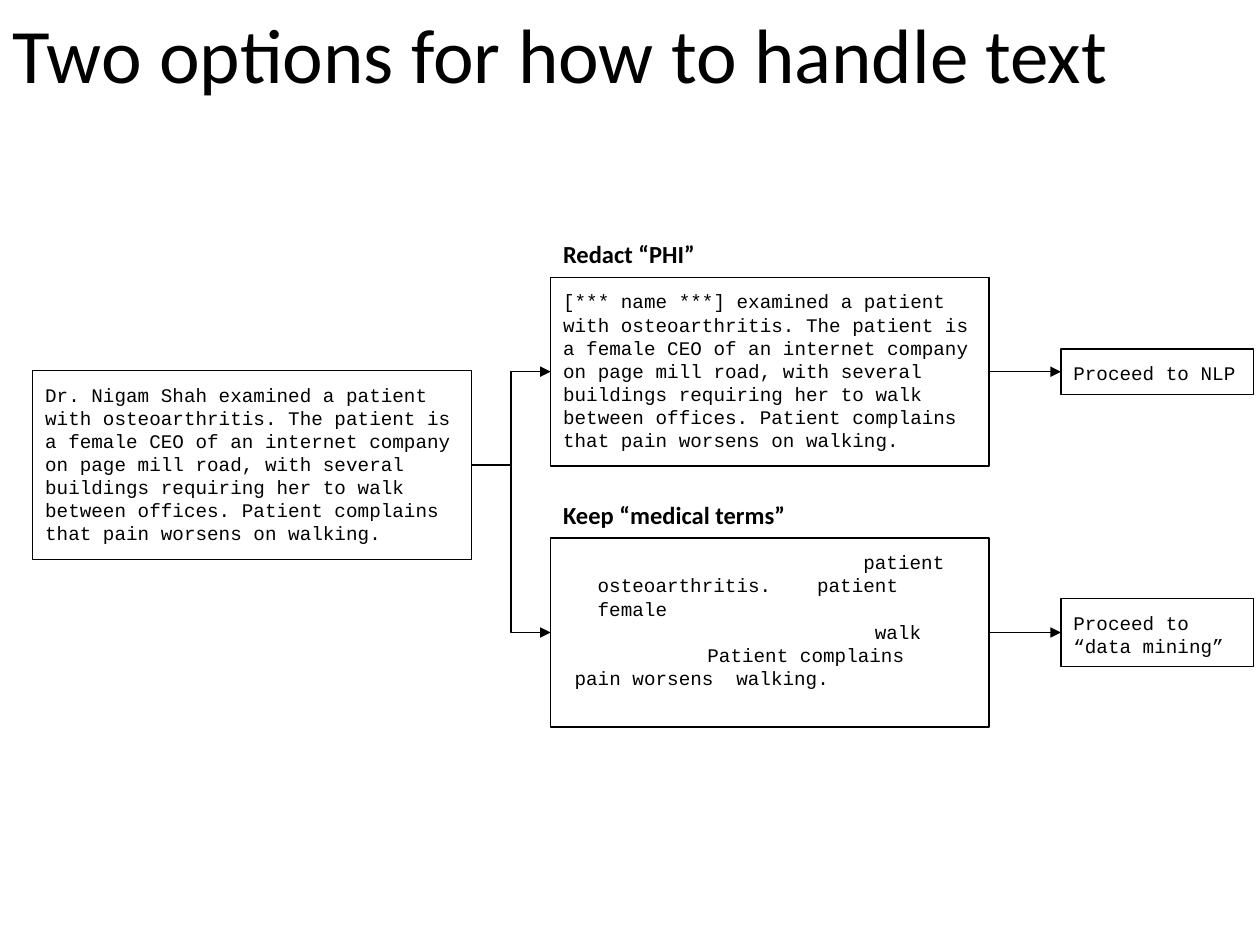
import pptx
import pptx.dml.color
import pptx.enum.shapes
import pptx.enum.text
import pptx.oxml
import pptx.oxml.ns
import pptx.util

Inches, Pt = pptx.util.Inches, pptx.util.Pt
ANCHOR = pptx.enum.text.MSO_ANCHOR
LINK = pptx.enum.shapes.MSO_CONNECTOR
BLACK = "000000"
DRAWING = pptx.oxml.ns.nsdecls("a")

# Columns (left edges), rows (centres) and the sizes shared by the boxes
SOURCE_X, OPTION_X, RESULT_X = 0.26, 4.37, 8.42
SOURCE_Y, REDACT_Y, KEEP_Y = 3.69, 2.95, 5.02
NOTE_W, NOTE_H = 3.48, 1.5
RESULT_W = 1.53
LABEL_H = 0.4
CHARACTER = 0.6 * 11 / 72  # width of one 11 pt Courier New letter, in inches


def color(value):
    return pptx.dml.color.RGBColor.from_string(value)


def add_text(page, left, middle, width, height, lines, font, size, bold=False, framed=True):
    """Add a box centred on a row; each line is a list of (column, words)."""
    place = [Inches(value) for value in (left, middle - height / 2, width, height)]
    if framed:
        box = page.shapes.add_shape(pptx.enum.shapes.MSO_SHAPE.RECTANGLE, *place)
        box.shadow.inherit = False
        box.fill.background()
        box.line.color.rgb = color(BLACK)
        box.line.width = Pt(0.75)
    else:
        box = page.shapes.add_textbox(*place)
    frame = box.text_frame
    frame.word_wrap = True
    frame.vertical_anchor = ANCHOR.TOP
    frame.margin_left = frame.margin_right = Inches(0.1)
    frame.margin_top = frame.margin_bottom = Inches(0.1)
    for number, line in enumerate(lines):
        para = frame.paragraphs[0] if number == 0 else frame.add_paragraph()
        para.alignment = pptx.enum.text.PP_ALIGN.LEFT
        stops = [column for column, words in line if column]
        if stops:
            tabs = "".join(
                f'<a:tab pos="{Inches(column * CHARACTER)}" algn="l"/>' for column in stops)
            para._p.get_or_add_pPr().append(
                pptx.oxml.parse_xml(f"<a:tabLst {DRAWING}>{tabs}</a:tabLst>"))
        for column, words in line:
            span = para.add_run()
            span.text = "\t" + words if column else words
            span.font.name = font
            span.font.size = Pt(size)
            span.font.bold = bold
            span.font.color.rgb = color(BLACK)
    return box


deck = pptx.Presentation()
deck.slide_width, deck.slide_height = Inches(10), Inches(7.5)
page = deck.slides.add_slide(deck.slide_layouts[5])

title = page.shapes.title
title.left, title.top = 0, 0
title.width, title.height = deck.slide_width, deck.slide_height // 6
title.text_frame.vertical_anchor = ANCHOR.TOP
para = title.text_frame.paragraphs[0]
para.alignment = pptx.enum.text.PP_ALIGN.LEFT
span = para.add_run()
span.text = "Two options for how to handle text"
span.font.name = "Calibri"
span.font.size = Pt(44)
span.font.color.rgb = color(BLACK)

record = (
    " examined a patient with osteoarthritis. The patient is a female CEO of an "
    "internet company on page mill road, with several buildings requiring her to walk "
    "between offices. Patient complains that pain worsens on walking."
)
kept_terms = [
    [(26, "patient")],
    [(3, "osteoarthritis."), (22, "patient")],
    [(3, "female")],
    [(27, "walk")],
    [(12.5, "Patient complains")],
    [(1, "pain worsens"), (15, "walking.")],
]
source = add_text(page, SOURCE_X, SOURCE_Y, NOTE_W, NOTE_H,
                  [[(0, "Dr. Nigam Shah" + record)]], "Courier New", 11)

options = [
    (REDACT_Y, "Redact “PHI”", [[(0, "[*** name ***]" + record)]], "Proceed to NLP", 0.36),
    (KEEP_Y, "Keep “medical terms”", kept_terms, "Proceed to “data mining”", 0.54),
]
links = []
for middle, heading, lines, outcome, height in options:
    add_text(page, OPTION_X, middle - (NOTE_H + LABEL_H) / 2, NOTE_W, LABEL_H,
             [[(0, heading)]], "Calibri", 14, bold=True, framed=False)
    option = add_text(page, OPTION_X, middle, NOTE_W, NOTE_H, lines, "Courier New", 11)
    result = add_text(page, RESULT_X, middle, RESULT_W, height,
                      [[(0, outcome)]], "Courier New", 11)
    links += [(LINK.ELBOW, source, option), (LINK.STRAIGHT, option, result)]

for kind, start, end in links:
    arrow = page.shapes.add_connector(kind, 0, 0, 0, 0)
    arrow.begin_connect(start, 3)
    arrow.end_connect(end, 1)
    arrow.line.color.rgb = color(BLACK)
    arrow.line.width = Pt(0.75)
    arrow.line._get_or_add_ln().append(
        pptx.oxml.parse_xml(f'<a:tailEnd {DRAWING} type="triangle"/>'))
    arrow._element.spPr.append(pptx.oxml.parse_xml(f"<a:effectLst {DRAWING}/>"))

deck.save("out.pptx")
